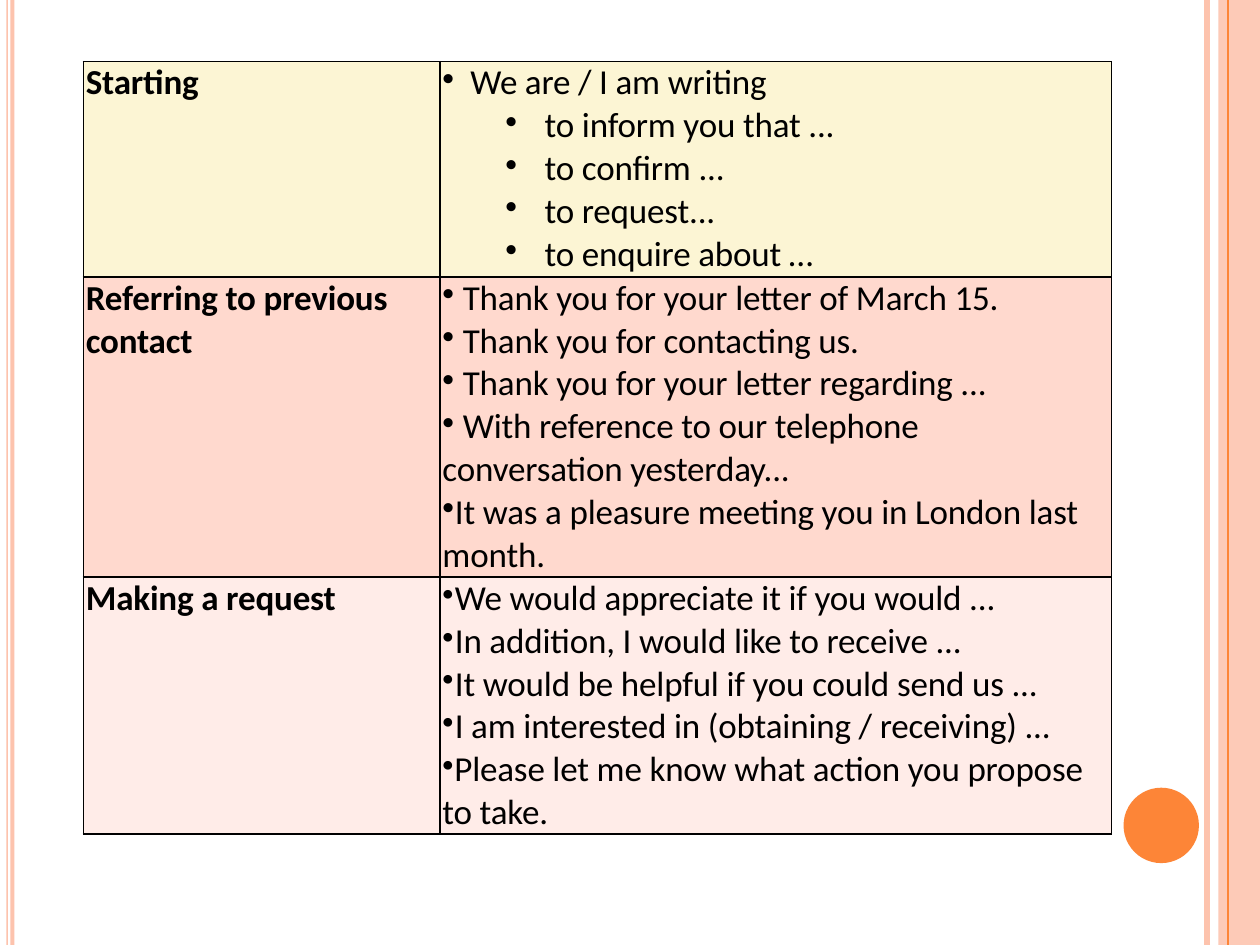
from lxml.etree import SubElement
from pptx import Presentation
from pptx.dml.color import RGBColor
from pptx.enum.shapes import MSO_CONNECTOR, MSO_SHAPE
from pptx.oxml import parse_xml
from pptx.oxml.ns import nsdecls, qn
from pptx.util import Cm, Pt

BLACK = RGBColor(0x00, 0x00, 0x00)
ORANGE = RGBColor(0xFD, 0x85, 0x37)
PEACH = RGBColor(0xFD, 0xC3, 0xAD)
CREAM = RGBColor(0xFC, 0xF5, 0xD4)
SALMON = RGBColor(0xFF, 0xD9, 0xCE)
PINK = RGBColor(0xFF, 0xEC, 0xE8)
FONT = "Calibri"
WIDTH, HEIGHT = 25.4, 19.05

HEADING = (0.05, 0, 0, None)
OPENER = (0.61, -0.56, 0, 100)
SUBPOINT = (2.11, -0.79, 1, 100)
POINT = (0.46, -0.41, 0, 100)
TIGHT = (0.3, -0.25, 0, 95)
FLUSH = (0.05, 0, 0, 100)
FLUSH_SMALL = (0.05, 0, 0, 95)

PHRASES = [
    (4.34, CREAM, "Starting", [
        (OPENER, "We are / I am writing"),
        (SUBPOINT, "to inform you that ..."),
        (SUBPOINT, "to confirm ..."),
        (SUBPOINT, "to request..."),
        (SUBPOINT, "to enquire about …"),
    ]),
    (6.05, SALMON, "Referring to previous contact", [
        (POINT, "Thank you for your letter of March 15."),
        (POINT, "Thank you for contacting us."),
        (POINT, "Thank you for your letter regarding ..."),
        (POINT, "With reference to our telephone"),
        (HEADING, "conversation yesterday..."),
        (FLUSH, "It was a pleasure meeting you in London last month."),
    ]),
    (5.18, PINK, "Making a request", [
        (TIGHT, "We would appreciate it if you would ..."),
        (TIGHT, "In addition, I would like to receive ..."),
        (TIGHT, "It would be helpful if you could send us ..."),
        (TIGHT, "I am interested in (obtaining / receiving) ..."),
        (FLUSH_SMALL, "Please let me know what action you propose to take."),
    ]),
]


def add_block(slide, kind, left, top, width, height, color, opacity=100):
    shape = slide.shapes.add_shape(kind, Cm(left), Cm(top), Cm(width), Cm(height))
    shape.shadow.inherit = False
    shape.fill.solid()
    shape.fill.fore_color.rgb = color
    shape.line.fill.background()
    if opacity < 100:
        tint = shape.fill._xPr.find(".//" + qn("a:srgbClr"))
        SubElement(tint, qn("a:alpha"), val=str(opacity * 1000))


def add_rule(slide, left, top, height, color, weight):
    rule = slide.shapes.add_connector(
        MSO_CONNECTOR.STRAIGHT, Cm(left), Cm(top), Cm(left), Cm(top + height))
    rule.line.color.rgb = color
    rule.line.width = Pt(weight)
    SubElement(rule._element.spPr, qn("a:effectLst"))


def add_left_edge(slide, left, top, height):
    for offset, width in ((0, 0.03), (0.08, 0.08)):
        add_block(slide, MSO_SHAPE.RECTANGLE, left + offset, top, width, height, PEACH)


def add_right_edge(slide, left, top, width, height):
    add_rule(slide, left, top, height, PEACH, 3)
    add_block(slide, MSO_SHAPE.OVAL, left - 1.68, top + 15.88, 1.52, 1.52, ORANGE)
    add_block(slide, MSO_SHAPE.RECTANGLE, left + 0.23, top, width - 0.23, height, PEACH, 87)
    add_rule(slide, left + 0.43, top, height, ORANGE, 1)


def style_cell(cell, color):
    cell.margin_left = cell.margin_right = cell.margin_top = cell.margin_bottom = 0
    properties = cell._tc.get_or_add_tcPr()
    for side in ("L", "R", "T", "B"):
        properties.append(parse_xml(
            f'<a:ln{side} {nsdecls("a")} w="12700"><a:solidFill>'
            f'<a:srgbClr val="{BLACK}"/></a:solidFill></a:ln{side}>'))
    cell.fill.solid()
    cell.fill.fore_color.rgb = color


def write_lines(cell, lines, bold):
    frame = cell.text_frame
    for index, ((margin, indent, level, bullet_size), text) in enumerate(lines):
        paragraph = frame.paragraphs[0] if index == 0 else frame.add_paragraph()
        paragraph.level = level
        properties = paragraph._p.get_or_add_pPr()
        properties.set("marL", str(Cm(margin)))
        properties.set("indent", str(Cm(indent)))
        if bullet_size:
            SubElement(properties, qn("a:buSzPct"), val=str(bullet_size * 1000))
            SubElement(properties, qn("a:buChar"), char="•")
        else:
            SubElement(properties, qn("a:buNone"))
        run = paragraph.add_run()
        run.text = text
        run.font.name = FONT
        run.font.size = Pt(20)
        run.font.bold = bold
        run.font.color.rgb = BLACK
        run._r.get_or_add_rPr().set("spc", "-10")


def add_phrase_table(slide, left, top, widths):
    height = sum(row[0] for row in PHRASES)
    frame = slide.shapes.add_table(
        len(PHRASES), len(widths), Cm(left), Cm(top), Cm(sum(widths)), Cm(height))
    table = frame.table
    table.first_row = False
    table.horz_banding = False
    for column, width in zip(table.columns, widths):
        column.width = Cm(width)
    for row, (row_height, color, heading, lines) in zip(table.rows, PHRASES):
        row.height = Cm(row_height)
        for cell in row.cells:
            style_cell(cell, color)
        write_lines(row.cells[0], [(HEADING, heading)], True)
        write_lines(row.cells[1], lines, False)


presentation = Presentation()
presentation.slide_width = Cm(WIDTH)
presentation.slide_height = Cm(HEIGHT)
slide = presentation.slides.add_slide(presentation.slide_layouts[6])
add_right_edge(slide, 24.33, 0, WIDTH - 24.33, HEIGHT)
add_left_edge(slide, 0.13, 0, HEIGHT)
add_phrase_table(slide, 1.68, 1.24, (7.19, 13.54))
presentation.save("out.pptx")
